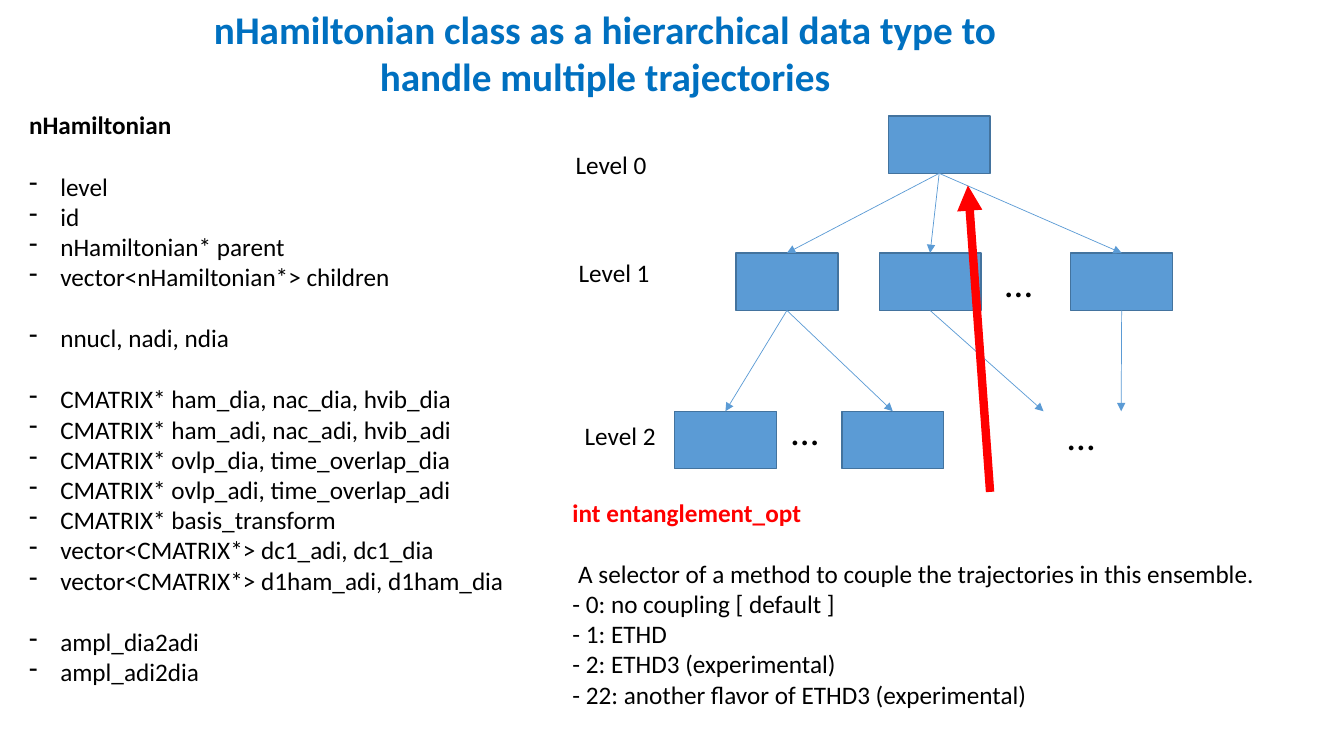
from dataclasses import dataclass
from typing import Optional

from lxml import etree
from pptx import Presentation
from pptx.dml.color import RGBColor
from pptx.enum import shapes, text
from pptx.oxml import ns
from pptx import util as u

PX = 9144
FONT = "Calibri"
BLUE, EDGE, RED, BLACK, TITLE_BLUE = "5B9BD5", "43739E", "FF0000", "000000", "0070C0"
BOX_WIDTH, BOX_HEIGHT = 101, 57
BOTTOM, TOP = 2, 0
BULLET_INDENT = 31
LINE_GAP = 22


@dataclass(frozen=True)
class Node:
    name: str
    left: int
    top: int


@dataclass(frozen=True)
class Arrow:
    x1: int
    y1: int
    x2: int
    y2: int
    parent: Optional[str] = None
    child: Optional[str] = None
    colour: str = BLUE
    weight: float = 0.5


@dataclass(frozen=True)
class Line:
    words: str
    size: int = 18
    colour: str = BLACK
    bold: bool = False
    bullet: bool = False
    gap: bool = False
    centred: bool = False


@dataclass(frozen=True)
class Caption:
    left: int
    top: int
    width: int
    height: int
    lines: tuple[Line, ...]
    wrap: bool = False


def px(length: int) -> u.Emu:
    return u.Emu(length * PX)


def rgb(colour: str) -> RGBColor:
    return RGBColor.from_string(colour)


def draw_node(slide, node: Node):
    box = slide.shapes.add_shape(
        shapes.MSO_SHAPE.RECTANGLE, px(node.left), px(node.top), px(BOX_WIDTH), px(BOX_HEIGHT)
    )
    box.shadow.inherit = False
    box.fill.solid()
    box.fill.fore_color.rgb = rgb(BLUE)
    box.line.color.rgb = rgb(EDGE)
    box.line.width = u.Pt(1)
    return box


def draw_arrow(slide, arrow: Arrow, boxes: dict) -> None:
    link = slide.shapes.add_connector(
        shapes.MSO_CONNECTOR.STRAIGHT, px(arrow.x1), px(arrow.y1), px(arrow.x2), px(arrow.y2)
    )
    if arrow.parent:
        link.begin_connect(boxes[arrow.parent], BOTTOM)
    if arrow.child:
        link.end_connect(boxes[arrow.child], TOP)
    link.line.color.rgb = rgb(arrow.colour)
    link.line.width = u.Pt(arrow.weight)
    etree.SubElement(link.line._get_or_add_ln(), ns.qn("a:tailEnd"), type="triangle")
    etree.SubElement(link._element.spPr, ns.qn("a:effectLst"))


def write_line(paragraph, line: Line) -> None:
    paragraph.text = line.words
    if line.centred:
        paragraph.alignment = text.PP_ALIGN.CENTER
    if line.gap:
        paragraph.space_before = u.Pt(LINE_GAP)
    if line.bullet:
        properties = paragraph._p.get_or_add_pPr()
        properties.set("marL", str(px(BULLET_INDENT)))
        properties.set("indent", str(px(-BULLET_INDENT)))
        etree.SubElement(properties, ns.qn("a:buChar"), char="-")
    font = paragraph.font
    font.name = FONT
    font.size = u.Pt(line.size)
    font.bold = line.bold
    font.color.rgb = rgb(line.colour)


def draw_caption(slide, caption: Caption) -> None:
    frame = slide.shapes.add_textbox(
        px(caption.left), px(caption.top), px(caption.width), px(caption.height)
    ).text_frame
    frame.word_wrap = caption.wrap
    frame.auto_size = text.MSO_AUTO_SIZE.SHAPE_TO_FIT_TEXT
    for index, line in enumerate(caption.lines):
        write_line(frame.add_paragraph() if index else frame.paragraphs[0], line)


NODES = (
    Node("root", 881, 115),
    Node("first child", 730, 251),
    Node("second child", 872, 251),
    Node("last child", 1062, 251),
    Node("first grandchild", 669, 408),
    Node("last grandchild", 835, 408),
)

TREE_ARROWS = (
    Arrow(932, 172, 780, 251, "root", "first child"),
    Arrow(932, 172, 923, 251, "root", "second child"),
    Arrow(932, 172, 1112, 251, "root", "last child"),
    Arrow(780, 308, 719, 408, "first child", "first grandchild"),
    Arrow(780, 308, 885, 408, "first child", "last grandchild"),
    Arrow(923, 308, 1035, 408, "second child"),
    Arrow(1112, 308, 1112, 408, "last child"),
)
ENTANGLEMENT_ARROW = Arrow(982, 488, 960, 184, colour=RED, weight=6)

MEMBER_GROUPS = (
    ("level", "id", "nHamiltonian* parent", "vector<nHamiltonian*> children"),
    ("nnucl, nadi, ndia",),
    (
        "CMATRIX* ham_dia, nac_dia, hvib_dia",
        "CMATRIX* ham_adi, nac_adi, hvib_adi",
        "CMATRIX* ovlp_dia, time_overlap_dia",
        "CMATRIX* ovlp_adi, time_overlap_adi",
        "CMATRIX* basis_transform",
        "vector<CMATRIX*> dc1_adi, dc1_dia",
        "vector<CMATRIX*> d1ham_adi, d1ham_dia",
    ),
    ("ampl_dia2adi", "ampl_adi2dia"),
)
MEMBERS = tuple(
    Line(member, bullet=True, gap=index == 0)
    for group in MEMBER_GROUPS
    for index, member in enumerate(group)
)
COUPLING_OPTIONS = (
    "- 0: no coupling [ default ]",
    "- 1: ETHD",
    "- 2: ETHD3 (experimental)",
    "- 22: another flavor of ETHD3 (experimental)",
)
TITLE = "nHamiltonian class as a hierarchical data type to handle multiple trajectories"
SELECTOR = " A selector of a method to couple the trajectories in this ensemble."

LEVEL_SPOTS = ((561, 143), (564, 250), (570, 412))
ELLIPSIS_SPOTS = ((987, 251), (775, 398), (1049, 403))

CAPTIONS = (
    *(
        Caption(left, top, 92, 40, (Line(f"Level {level}"),))
        for level, (left, top) in enumerate(LEVEL_SPOTS)
    ),
    *(Caption(left, top, 47, 57, (Line("…", size=28),)) for left, top in ELLIPSIS_SPOTS),
    Caption(19, 104, 496, 586, (Line("nHamiltonian", bold=True), *MEMBERS)),
    Caption(188, 0, 824, 104, (Line(TITLE, 28, TITLE_BLUE, True, centred=True),), wrap=True),
    Caption(
        558, 488, 730, 222,
        (
            Line("int entanglement_opt", colour=RED, bold=True),
            Line(SELECTOR, gap=True),
            *(Line(option) for option in COUPLING_OPTIONS),
        ),
        wrap=True,
    ),
)


def main() -> None:
    deck = Presentation()
    deck.slide_width, deck.slide_height = px(1333), px(750)
    slide = deck.slides.add_slide(deck.slide_layouts[6])
    boxes = {node.name: draw_node(slide, node) for node in NODES}
    for arrow in TREE_ARROWS:
        draw_arrow(slide, arrow, boxes)
    for caption in CAPTIONS:
        draw_caption(slide, caption)
    draw_arrow(slide, ENTANGLEMENT_ARROW, boxes)
    deck.save("out.pptx")


if __name__ == "__main__":
    main()
